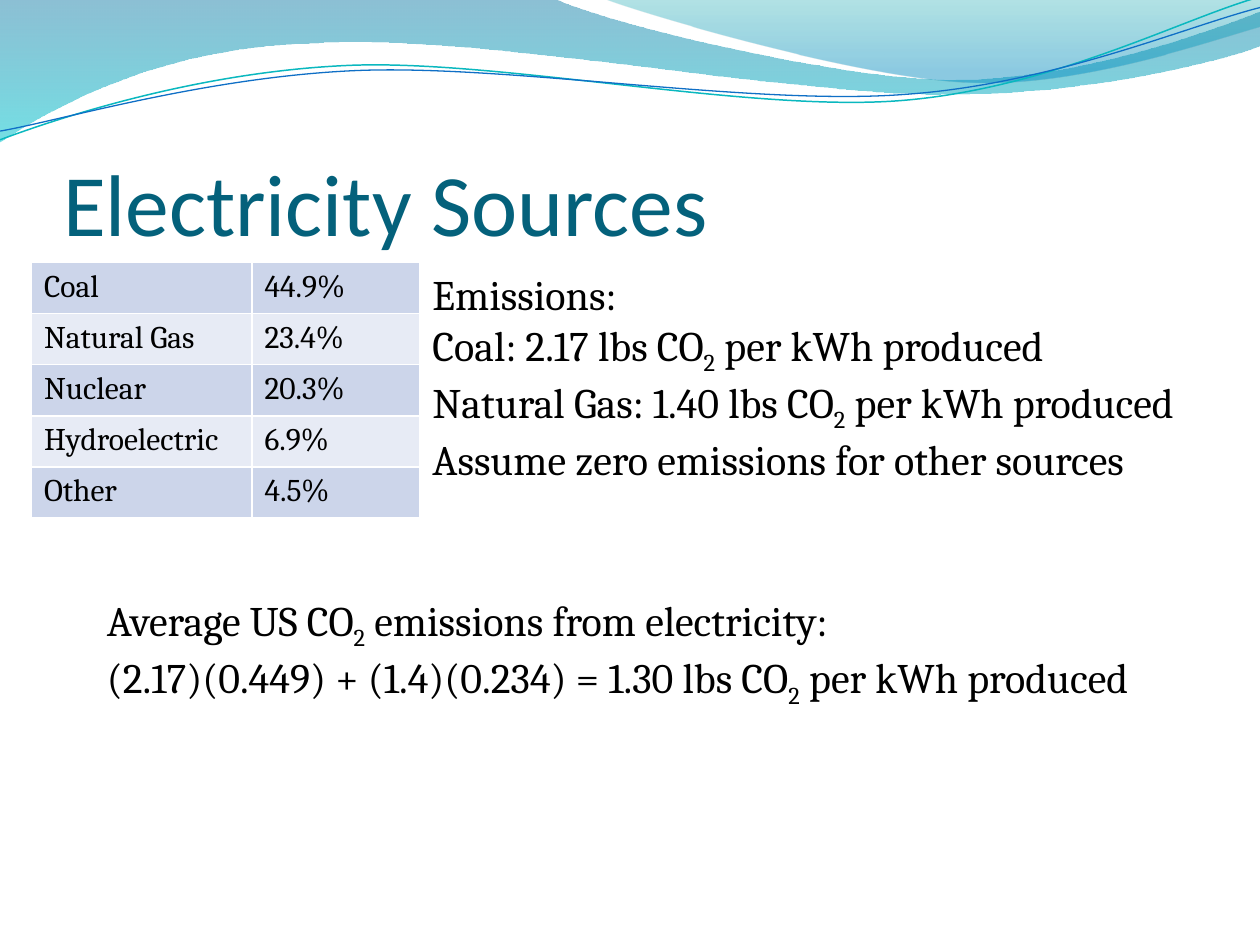
import pptx
import pptx.dml.color
import pptx.enum.text
import pptx.oxml
import pptx.oxml.ns
import pptx.util

Pt = pptx.util.Pt
RGBColor = pptx.dml.color.RGBColor

BLACK = RGBColor(0x00, 0x00, 0x00)
TITLE_TEAL = RGBColor(0x04, 0x61, 0x7B)
BAND_DARK = RGBColor(0xCC, 0xD5, 0xEA)
BAND_LIGHT = RGBColor(0xE7, 0xEB, 0xF5)
WAVE_BLUE = RGBColor(0x00, 0x74, 0xA1)
WAVE_CYAN = RGBColor(0x00, 0xC6, 0xCF)
CREST_TEAL = RGBColor(0x00, 0xA1, 0xA9)
CREST_BLUE = RGBColor(0x00, 0x8B, 0xBF)
LINE_TEAL = RGBColor(0x0A, 0xB8, 0xBF)
LINE_BLUE = RGBColor(0x0F, 0x6F, 0xC6)


def add_outline(slide, start, segments, close):
    """Draw straight (x, y) and cubic (x1, y1, x2, y2, x, y) segments, in points."""
    points = [(Pt(segment[i]), Pt(segment[i + 1]))
              for segment in segments for i in range(0, len(segment), 2)]
    builder = slide.shapes.build_freeform(Pt(start[0]), Pt(start[1]))
    builder.add_line_segments(points, close=close)
    shape = builder.convert_to_shape()
    shape.shadow.inherit = False
    # Merge the three steps of each cubic segment into one Bezier curve
    steps = iter(shape._element.findall(".//" + pptx.oxml.ns.qn("a:lnTo")))
    for segment in segments:
        first = next(steps)
        if len(segment) == 6:
            curve = pptx.oxml.parse_xml(f'<a:cubicBezTo {pptx.oxml.ns.nsdecls("a")}/>')
            first.addprevious(curve)
            for step in (first, next(steps), next(steps)):
                curve.append(step[0])
                step.getparent().remove(step)
    return shape


def add_run(paragraph, text, size, font_name="Cambria", color=BLACK):
    run = paragraph.add_run()
    run.text = text
    run.font.size = Pt(size)
    run.font.name = font_name
    run.font.color.rgb = color
    return run


presentation = pptx.Presentation()
presentation.slide_width = Pt(720)
presentation.slide_height = Pt(540)
slide = presentation.slides.add_slide(presentation.slide_layouts[5])

# Wave bands: start, segments, gradient stops (position, colour, opacity %)
waves = [
    ((0, 0),
     [(316.8, -0.7), (342.7, 12.2, 478.1, 45.4, 545.8, 45.4),
      (614.2, 45.4, 689.8, 18.7, 720, 6.5), (720.7, 25.9),
      (707.8, 31.7, 626.4, 54.7, 537.1, 54), (447.8, 54, 275, 20.2, 185, 24.5),
      (92.9, 25.9, 33.1, 59.8, -0.7, 81.4)],
     [(0, WAVE_BLUE, 45), (1, WAVE_CYAN, 55)]),
    ((344.9, -0.7),
     [(366.5, 7.9, 491, 44.6, 553.7, 46.8), (616.3, 49.7, 691.9, 23, 720, 15.1),
      (720, 0)],
     [(0, CREST_TEAL, 30), (0.8, CREST_BLUE, 45)]),
]
for start, segments, stops in waves:
    wave = add_outline(slide, start, segments, True)
    wave.line.fill.background()
    wave.fill.gradient()
    wave.fill.gradient_angle = 270
    for gradient_stop, (position, color, _) in zip(wave.fill.gradient_stops, stops):
        gradient_stop.position = position
        gradient_stop.color.rgb = color
    color_elements = wave._element.spPr.findall(".//" + pptx.oxml.ns.qn("a:srgbClr"))
    for color_element, (_, _, opacity) in zip(color_elements, stops):
        color_element.append(pptx.oxml.parse_xml(
            f'<a:alpha {pptx.oxml.ns.nsdecls("a")} val="{opacity * 1000}"/>'))

# Thin wave lines
wave_lines = [
    ((0, 79.9),
     [(34.6, 67, 113.8, 41, 199.4, 37.4), (284.4, 33.8, 427, 64.1, 513.4, 57.6),
      (599.8, 51.1, 675.4, 10.8, 718.6, -1.4)], LINE_TEAL, 0.85),
    ((0, 74.9),
     [(33.8, 69.1, 118.1, 43.9, 203.8, 40.3), (290.2, 36.7, 429.8, 60.5, 516.2, 54),
      (601.9, 48.2, 677.5, 15.1, 720, 4.3)], LINE_BLUE, 0.75),
]
for start, segments, color, width in wave_lines:
    wave_line = add_outline(slide, start, segments, False)
    wave_line.fill.background()
    wave_line.line.color.rgb = color
    wave_line.line.width = Pt(width)

# Title
title = slide.shapes.title
title.left, title.top, title.width, title.height = Pt(36), Pt(55.3), Pt(648), Pt(90)
frame = title.text_frame
frame.auto_size = pptx.enum.text.MSO_AUTO_SIZE.NONE
frame.vertical_anchor = pptx.enum.text.MSO_ANCHOR.BOTTOM
frame.margin_left = frame.margin_right = frame.margin_bottom = Pt(0)
frame.margin_top = Pt(3.6)
frame.paragraphs[0].alignment = pptx.enum.text.PP_ALIGN.LEFT
add_run(frame.paragraphs[0], "Electricity Sources", 50, "Calibri", TITLE_TEAL)

# Table of source shares
shares = [("Coal", "44.9%"), ("Natural Gas", "23.4%"), ("Nuclear", "20.3%"),
          ("Hydroelectric", "6.9%"), ("Other", "4.5%")]
table = slide.shapes.add_table(len(shares), 2, Pt(18), Pt(150), Pt(222), Pt(146)).table
table.first_row = False
table.horz_banding = False
table.columns[0].width = Pt(126)
table.columns[1].width = Pt(96)
for row_index, row in enumerate(shares):
    table.rows[row_index].height = Pt(29.2)
    for column_index, text in enumerate(row):
        cell = table.cell(row_index, column_index)
        cell.fill.solid()
        cell.fill.fore_color.rgb = BAND_LIGHT if row_index % 2 else BAND_DARK
        add_run(cell.text_frame.paragraphs[0], text, 18)
        properties = cell._tc.get_or_add_tcPr()
        for index, side in enumerate(("lnL", "lnR", "lnT", "lnB")):
            properties.insert(index, pptx.oxml.parse_xml(
                f'<a:{side} {pptx.oxml.ns.nsdecls("a")} w="12700"><a:solidFill>'
                f'<a:srgbClr val="FFFFFF"/></a:solidFill></a:{side}>'))

# Text blocks: box in points, then paragraphs split around the subscript 2
text_blocks = [
    ((240, 150, 480, 124),
     [["Emissions:"],
      ["Coal: 2.17 lbs CO", "2", " per kWh produced"],
      ["Natural Gas: 1.40 lbs CO", "2", " per kWh produced"],
      ["Assume zero emissions for other sources"]]),
    ((54, 336, 606, 65.5),
     [["Average US CO", "2", " emissions from electricity:"],
      ["(2.17)(0.449) + (1.4)(0.234) = 1.30 lbs CO", "2", " per kWh produced"]]),
]
for box, lines in text_blocks:
    frame = slide.shapes.add_textbox(*[Pt(value) for value in box]).text_frame
    frame.word_wrap = True
    frame.auto_size = pptx.enum.text.MSO_AUTO_SIZE.SHAPE_TO_FIT_TEXT
    for line_index, parts in enumerate(lines):
        paragraph = frame.add_paragraph() if line_index else frame.paragraphs[0]
        for part in parts:
            run = add_run(paragraph, part, 24)
            if part == "2":
                run.font._element.set("baseline", "-25000")

presentation.save("out.pptx")
